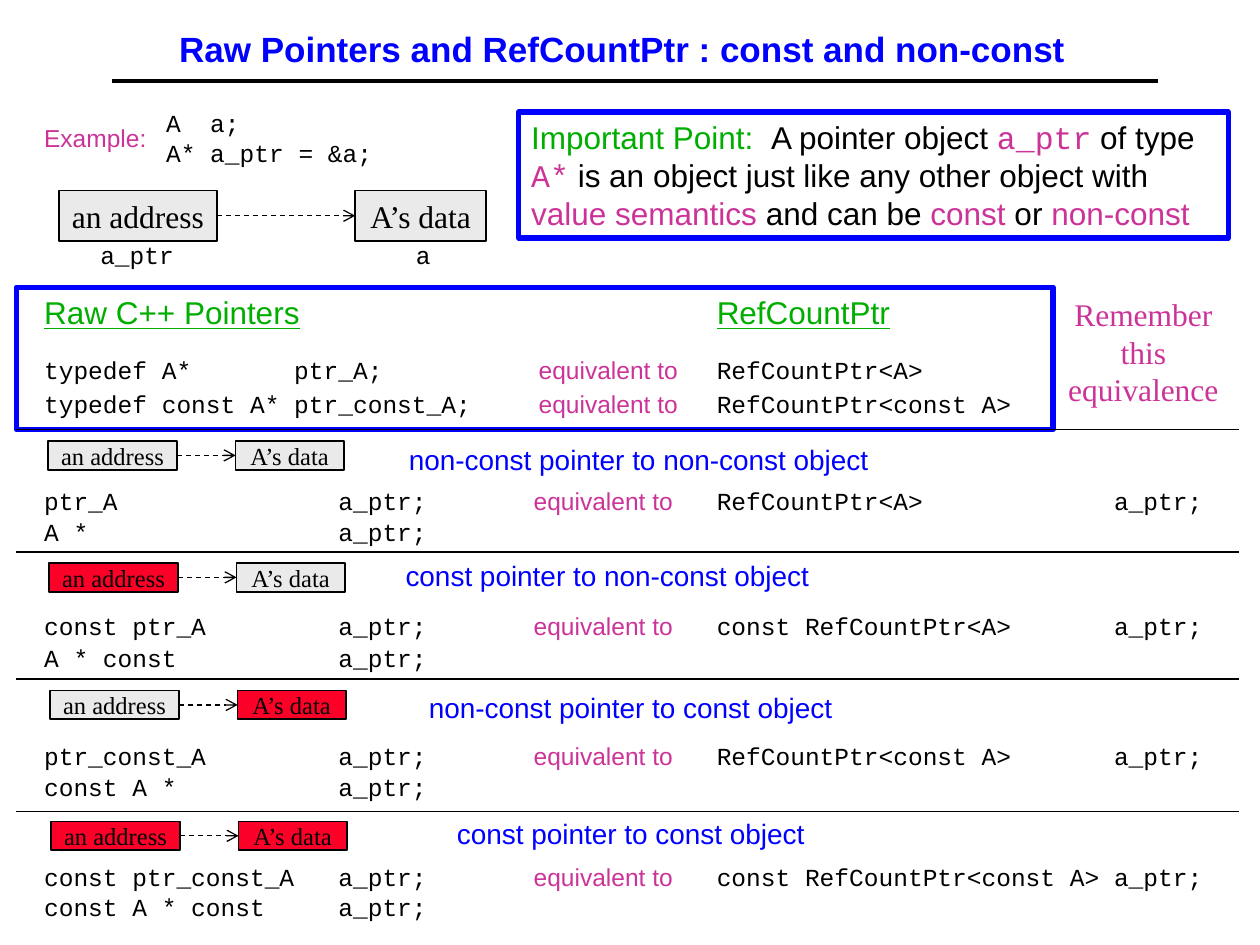
from pptx import Presentation
from pptx.dml.color import RGBColor
from pptx.enum.dml import MSO_LINE
from pptx.enum.shapes import MSO_CONNECTOR, MSO_SHAPE
from pptx.enum.text import MSO_ANCHOR, PP_ALIGN
from pptx.oxml.ns import qn
from pptx.util import Cm, Pt
from lxml import etree

DASH = MSO_LINE.DASH
STRAIGHT = MSO_CONNECTOR.STRAIGHT
RECTANGLE = MSO_SHAPE.RECTANGLE
MIDDLE = MSO_ANCHOR.MIDDLE
LEFT, CENTER = PP_ALIGN.LEFT, PP_ALIGN.CENTER

THEME = {
    "colours": {"ink": "000000", "blue": "0000FF", "green": "00AE00",
                "pink": "CC3399", "plain": "EAEAEA", "const": "FC0128"},
    "fonts": {"sans": "Arial", "mono": "Courier New", "serif": "Times New Roman"},
    "styles": {
        "title": ("sans", 20, "blue"),
        "heading": ("sans", 18, "green"),
        "code": ("mono", 14, "ink"),
        "relation": ("sans", 14, "pink"),
        "caption": ("sans", 16, "blue"),
        "point": ("sans", 18, "ink"),
        "remark": ("serif", 18, "pink"),
        "large box": ("serif", 18, "ink"),
        "small box": ("serif", 14, "ink"),
    },
}

TITLE = "Raw Pointers and RefCountPtr : const and non-const"
EXAMPLE = ["A  a;", "A* a_ptr = &a;"]
IMPORTANT_POINT = [
    ("Important Point:  ", "sans", "green"), ("A pointer object ", "sans", "ink"),
    ("a_ptr", "mono", "pink"), (" of type ", "sans", "ink"), ("A*", "mono", "pink"),
    (" is an object just like any other object with ", "sans", "ink"),
    ("value semantics", "sans", "pink"), (" and can be ", "sans", "ink"),
    ("const", "sans", "pink"), (" or ", "sans", "ink"), ("non-const", "sans", "pink"),
]
HEADINGS = ["Raw C++ Pointers", "RefCountPtr"]
RELATION = "equivalent to"
REMARK = "Remember this equivalence"
TYPEDEFS = [
    (7.04, "typedef A*       ptr_A;", "RefCountPtr<A>"),
    (7.72, "typedef const A* ptr_const_A;", "RefCountPtr<const A>"),
]
SECTIONS = [
    {"rule": 8.66, "boxes": 8.89, "fills": ("plain", "plain"),
     "caption": ("non-const pointer to non-const object", 6.5, 8.79, 12.27),
     "code": [(9.68, "ptr_A               a_ptr;"), (10.29, "A *                 a_ptr;")],
     "counted": "RefCountPtr<A>             a_ptr;"},
    {"rule": 11.13, "boxes": 11.35, "fills": ("const", "plain"),
     "caption": ("const pointer to non-const object", 7.04, 11.13, 9.93),
     "code": [(12.19, "const ptr_A         a_ptr;"), (12.83, "A * const           a_ptr;")],
     "counted": "const RefCountPtr<A>       a_ptr;"},
    {"rule": 13.69, "boxes": 13.92, "fills": ("plain", "const"),
     "caption": ("non-const pointer to const object", 7.04, 13.79, 10.87),
     "code": [(14.81, "ptr_const_A         a_ptr;"), (15.44, "const A *           a_ptr;")],
     "counted": "RefCountPtr<const A>       a_ptr;"},
    {"rule": 16.36, "boxes": 16.56, "fills": ("const", "const"),
     "caption": ("const pointer to const object", 7.04, 16.33, 10.87),
     "code": [(17.25, "const ptr_const_A   a_ptr;"), (17.86, "const A * const     a_ptr;")],
     "counted": "const RefCountPtr<const A> a_ptr;"},
]
RAW_LEFT, RELATION_LEFT, COUNTED_LEFT = 0.64, 10.03, 14.2
RAW_WIDTH, RELATION_WIDTH, COUNTED_WIDTH = 9.5, 4.27, 11
LINE_HEIGHT = 0.84


def colour(name):
    """Return a theme colour."""
    return RGBColor.from_string(THEME["colours"][name])


def write(shape, lines, style, align=LEFT, hanging=False):
    """Write lines in one theme style, with an optional hanging indent."""
    family, size, ink = THEME["styles"][style]
    frame = shape.text_frame
    frame.word_wrap = True
    for index, line in enumerate(lines):
        paragraph = frame.add_paragraph() if index else frame.paragraphs[0]
        paragraph.alignment = align
        if hanging:
            properties = paragraph._p.get_or_add_pPr()
            properties.set("marL", str(Cm(0.96)))
            properties.set("indent", str(Cm(-0.48)))
        font = paragraph.font
        font.size = Pt(size)
        if isinstance(line, str):
            paragraph.add_run().text = line
            font.name = THEME["fonts"][family]
            font.color.rgb = colour(ink)
            font.bold = style == "title"
            font.underline = style == "heading"
        else:
            for text, run_family, run_ink in line:
                run = paragraph.add_run()
                run.text = text
                run.font.name = THEME["fonts"][run_family]
                run.font.color.rgb = colour(run_ink)


def add_text(slide, box, lines, style, align=LEFT, hanging=False):
    """Add a text box."""
    shape = slide.shapes.add_textbox(*map(Cm, box))
    write(shape, lines, style, align, hanging)
    return shape


def add_box(slide, box, line, width, fill=None):
    """Add an outlined rectangle."""
    shape = slide.shapes.add_shape(RECTANGLE, *map(Cm, box))
    shape.shadow.inherit = False
    shape.line.color.rgb = colour(line)
    shape.line.width = Pt(width)
    if fill:
        shape.fill.solid()
        shape.fill.fore_color.rgb = colour(fill)
    else:
        shape.fill.background()
    shape.text_frame.vertical_anchor = MSO_ANCHOR.TOP
    return shape


def add_line(slide, left, right, y, width, arrow=False):
    """Add a horizontal rule or a dashed arrow."""
    line = slide.shapes.add_connector(STRAIGHT, Cm(left), Cm(y), Cm(right), Cm(y))
    line.line.color.rgb = colour("ink")
    line.line.width = Pt(width)
    if arrow:
        line.line.dash_style = DASH
        etree.SubElement(line.line._get_or_add_ln(), qn("a:tailEnd"), type="arrow")
    etree.SubElement(line._element.spPr, qn("a:effectLst"))


def add_pointer(slide, top, height, spans, fills, style):
    """Add an address box with an arrow to its data box."""
    for text, (left, width), fill in zip(("an address", "A’s data"), spans, fills):
        box = add_box(slide, (left, top, width, height), "ink", 1, fill)
        write(box, [text], style, CENTER)
        box.text_frame.word_wrap = False
        if style == "small box":
            box.text_frame.margin_top = box.text_frame.margin_bottom = 0
    (left, width), (target, _) = spans
    add_line(slide, left + width, target, top + height / 2, 0.75, True)


def add_equivalence(slide, y, raw, counted, relation_left):
    """Add a raw pointer line and its counted equivalent."""
    add_text(slide, (RAW_LEFT, y, RAW_WIDTH, LINE_HEIGHT), [raw], "code")
    add_text(slide, (relation_left, y, RELATION_WIDTH, LINE_HEIGHT),
             [RELATION], "relation", hanging=True)
    add_text(slide, (COUNTED_LEFT, y, COUNTED_WIDTH, LINE_HEIGHT), [counted], "code")


def add_overview(slide):
    """Add the title, the example, the important point and the typedefs."""
    add_line(slide, 2.26, 23.34, 1.63, 2)
    title = add_text(slide, (1.75, 0.36, 21.59, 1.24), [TITLE], "title", CENTER)
    title.text_frame.vertical_anchor = MIDDLE
    add_text(slide, (RAW_LEFT, 2.36, 4.27, LINE_HEIGHT), ["Example:"], "relation")
    add_text(slide, (3.1, 2.06, 4.85, 1.45), EXAMPLE, "code")
    add_pointer(slide, 3.84, 1.02, [(1.19, 3.18), (7.16, 2.64)],
                ("plain", "plain"), "large box")
    for left, name in ((1.7, "a_ptr"), (7.47, "a")):
        add_text(slide, (left, 4.72, 2.13, LINE_HEIGHT), [name], "code", CENTER)
    point = add_box(slide, (10.46, 2.26, 14.3, 2.54), "blue", 3)
    write(point, [IMPORTANT_POINT], "point")
    for left, heading in zip((RAW_LEFT, COUNTED_LEFT), HEADINGS):
        add_text(slide, (left, 5.79, 9.93, 1.02), [heading], "heading")
    for y, raw, counted in TYPEDEFS:
        add_equivalence(slide, y, raw, counted, RELATION_LEFT + 0.1)
    add_box(slide, (0.33, 5.79, 20.9, 2.87), "blue", 3)
    add_text(slide, (21.03, 5.82, 4.04, 2.54), [REMARK], "remark", CENTER)


def add_section(slide, index, section):
    """Add one combination of const pointer and const object."""
    add_line(slide, 0.33, 24.97, section["rule"], 1)
    shift = 0.02 * index
    add_pointer(slide, section["boxes"], 0.58, [(0.97 + shift, 2.6), (4.75 + shift, 2.18)],
                section["fills"], "small box")
    caption, left, top, width = section["caption"]
    add_text(slide, (left, top, width, 0.91), [caption], "caption", CENTER, True)
    (y, first), (next_y, second) = section["code"]
    add_equivalence(slide, y, first, section["counted"], RELATION_LEFT)
    add_text(slide, (RAW_LEFT, next_y, RAW_WIDTH, LINE_HEIGHT), [second], "code")


def main():
    """Build the slide and save it."""
    presentation = Presentation()
    presentation.slide_width, presentation.slide_height = Cm(25.4), Cm(19.05)
    slide = presentation.slides.add_slide(presentation.slide_layouts[6])
    add_overview(slide)
    for index, section in enumerate(SECTIONS):
        add_section(slide, index, section)
    presentation.save("out.pptx")


if __name__ == "__main__":
    main()
